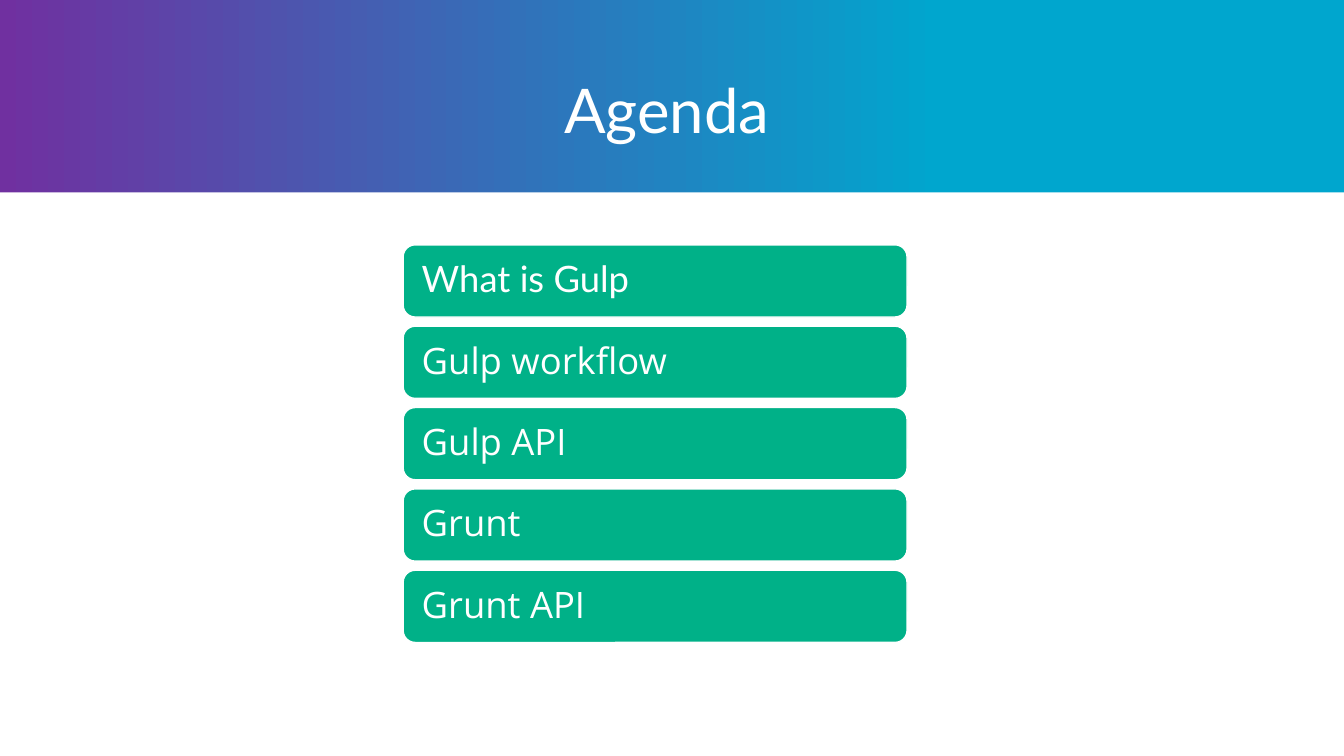
from pptx import Presentation
from pptx.dml.color import RGBColor
from pptx.enum.shapes import MSO_SHAPE
from pptx.enum.text import MSO_ANCHOR, PP_ALIGN
from pptx.util import Cm, Pt

WHITE = "FFFFFF"
GREEN = "00B188"
BLUE = "00A6CE"
PURPLE = "7030A0"
TOPICS = [
    ("What is Gulp", "Lato"),
    ("Gulp workflow", "Open Sans"),
    ("Gulp API", "Open Sans"),
    ("Grunt", "Open Sans"),
    ("Grunt API", "Open Sans"),
]
FIRST_TOP = 6.17
PITCH = 2.05


def color(hex_code):
    return RGBColor.from_string(hex_code)


def paint_background(slide):
    fill = slide.background.fill
    fill.gradient()
    fill.gradient_angle = 180
    for stop, (position, hex_code) in zip(
        fill.gradient_stops, [(0.3, BLUE), (1, PURPLE)]
    ):
        stop.position = position
        stop.color.rgb = color(hex_code)


def write(frame, words, font, size, align):
    frame.word_wrap = True
    frame.vertical_anchor = MSO_ANCHOR.MIDDLE
    paragraph = frame.paragraphs[0]
    paragraph.alignment = align
    paragraph.line_spacing = 0.9
    run = paragraph.add_run()
    run.text = words
    run.font.name = font
    run.font.size = Pt(size)
    run.font.color.rgb = color(WHITE)


def add_block(slide, kind, left, top, width, height, fill):
    block = slide.shapes.add_shape(kind, Cm(left), Cm(top), Cm(width), Cm(height))
    block.shadow.inherit = False
    block.fill.solid()
    block.fill.fore_color.rgb = color(fill)
    block.line.fill.background()
    return block


def add_topic(slide, top, words, font):
    topic = add_block(
        slide, MSO_SHAPE.ROUNDED_RECTANGLE, 10.16, top, 12.7, 1.82, GREEN
    )
    topic.line.color.rgb = color(WHITE)
    topic.line.width = Pt(1)
    frame = topic.text_frame
    frame.margin_left = frame.margin_right = Cm(0.38)
    write(frame, words, font, 26, PP_ALIGN.LEFT)


def set_title(slide, words):
    title = slide.shapes.title
    title.left, title.top = Cm(1.9), Cm(1.9)
    title.width, title.height = Cm(30.06), Cm(1.9)
    title.text_frame.margin_left = Cm(0)
    write(title.text_frame, words, "Lato", 44, PP_ALIGN.CENTER)


def main():
    """Build the agenda slide with its gradient header and topic list."""
    deck = Presentation()
    deck.slide_width, deck.slide_height = Cm(33.87), Cm(19.05)
    slide = deck.slides.add_slide(deck.slide_layouts[5])
    paint_background(slide)
    add_block(slide, MSO_SHAPE.RECTANGLE, 0, 4.85, 33.87, 14.2, WHITE)
    set_title(slide, "Agenda")
    for row, (words, font) in enumerate(TOPICS):
        add_topic(slide, FIRST_TOP + row * PITCH, words, font)
    deck.save("out.pptx")


if __name__ == "__main__":
    main()
